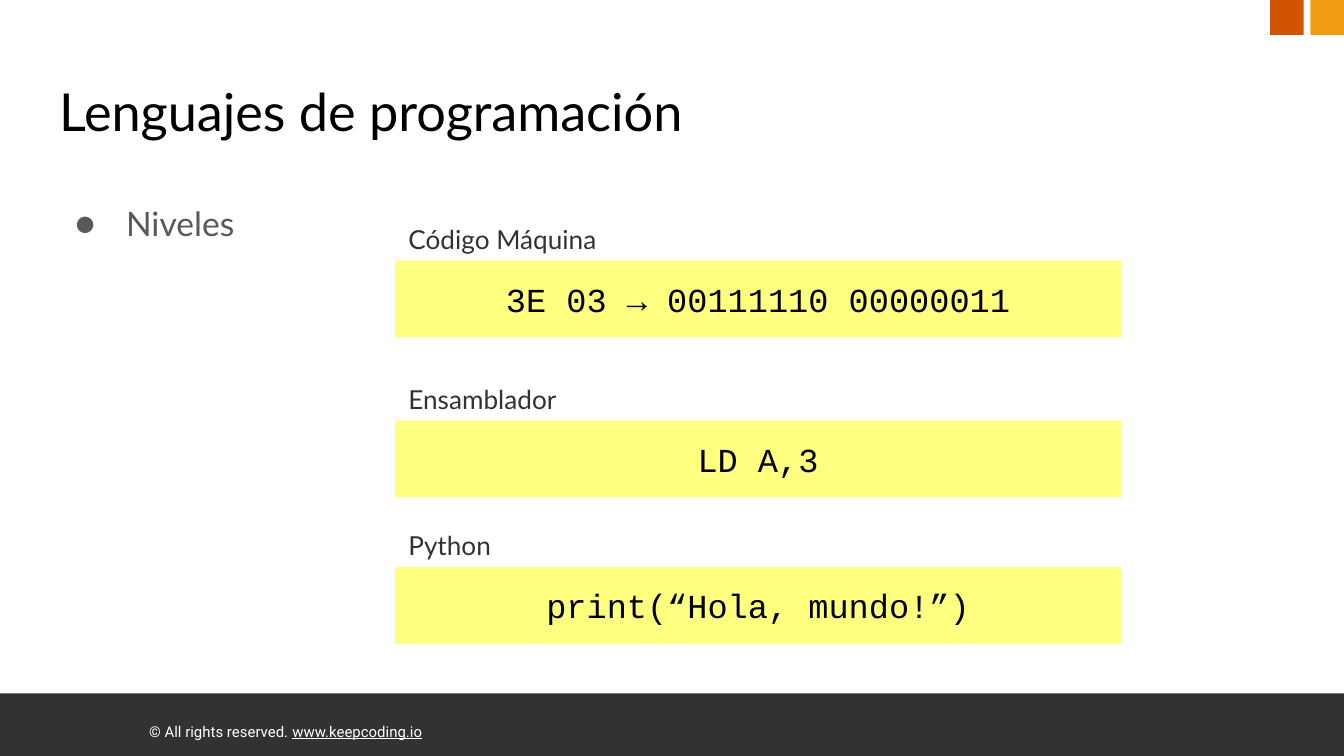
from pptx import Presentation
from pptx.dml.color import RGBColor
from pptx.enum.shapes import MSO_SHAPE
from pptx.enum.text import MSO_ANCHOR, PP_ALIGN
from pptx.oxml.ns import qn
from pptx.util import Inches, Pt
from lxml.etree import SubElement

COLORS = {
    "ink": "000000",
    "dark": "323232",
    "gray": "595959",
    "white": "FFFFFF",
    "rust": "D35400",
    "amber": "F39C12",
    "yellow": "FFFF00",
}


class SlideBuilder:
    heading_font = "Lato"
    code_font = "Courier New"
    footer_font = "Roboto"

    def __init__(self, page):
        self.page = page

    def color(self, name):
        return RGBColor.from_string(COLORS[name])

    def frame(self, shape, anchor=MSO_ANCHOR.TOP, inset=0.1):
        frame = shape.text_frame
        frame.word_wrap = True
        frame.vertical_anchor = anchor
        frame.margin_left = frame.margin_right = Inches(inset)
        frame.margin_top = frame.margin_bottom = Inches(inset)
        return frame.paragraphs[0]

    def span(self, para, text, size, font, color, underline=None):
        span = para.add_run()
        span.text = text
        span.font.size = Pt(size)
        span.font.name = font
        span.font.color.rgb = self.color(color)
        span.font.underline = underline

    def text_box(self, shapes, left, top, width, height, **options):
        box = shapes.add_textbox(Inches(left), Inches(top), Inches(width), Inches(height))
        return self.frame(box, **options)

    def rectangle(self, shapes, left, top, width, height, color, opacity=100):
        box = shapes.add_shape(
            MSO_SHAPE.RECTANGLE, Inches(left), Inches(top), Inches(width), Inches(height)
        )
        box.shadow.inherit = False
        box.line.fill.background()
        box.fill.solid()
        box.fill.fore_color.rgb = self.color(color)
        if opacity < 100:
            fill = box.fill._xPr.find(qn("a:solidFill"))
            SubElement(fill[0], qn("a:alpha"), val=str(opacity * 1000))
        return box

    def title(self, text):
        title = self.page.shapes.title
        title.left, title.top = Inches(0.34), Inches(0.49)
        title.width, title.height = Inches(9.32), Inches(0.63)
        para = self.frame(title)
        para.alignment = PP_ALIGN.LEFT
        self.span(para, text, 28, self.heading_font, "ink")

    def bullet(self, text):
        para = self.text_box(self.page.shapes, 0.34, 1.26, 3.17, 3.74)
        properties = para._p.get_or_add_pPr()
        properties.set("marL", str(Inches(0.5)))
        properties.set("indent", str(Inches(-0.38)))
        bullet_color = SubElement(properties, qn("a:buClr"))
        SubElement(bullet_color, qn("a:srgbClr"), val=COLORS["gray"])
        SubElement(properties, qn("a:buFont"), typeface=self.heading_font)
        SubElement(properties, qn("a:buChar"), char="●")
        para.line_spacing = 1.5
        self.span(para, text, 18, self.heading_font, "gray")

    def code_level(self, label, code, top):
        shapes = self.page.shapes.add_group_shape().shapes
        bar = self.rectangle(shapes, 2.94, top, 5.4, 0.57, "yellow", opacity=50)
        para = self.frame(bar, anchor=MSO_ANCHOR.MIDDLE)
        para.alignment = PP_ALIGN.CENTER
        self.span(para, code, 18, self.code_font, "ink")
        para = self.text_box(shapes, 2.94, top - 0.38, 1.67, 0.39)
        self.span(para, label, 14, self.heading_font, "dark")

    def footer(self, notice, address):
        shapes = self.page.shapes
        self.rectangle(shapes, 0, 5.16, 10, 0.48, "dark")
        para = self.text_box(
            shapes, 1.05, 5.3, 7.97, 0.28, anchor=MSO_ANCHOR.MIDDLE, inset=0.06
        )
        self.span(para, notice, 8, self.footer_font, "white")
        self.span(para, address, 8, self.footer_font, "white", underline=True)

    def corner_marks(self):
        for left, color in ((9.45, "rust"), (9.75, "amber")):
            self.rectangle(self.page.shapes, left, 0, 0.25, 0.26, color)


def main():
    deck = Presentation()
    deck.slide_width = Inches(10)
    deck.slide_height = Inches(10 * 9 / 16)
    builder = SlideBuilder(deck.slides.add_slide(deck.slide_layouts[5]))
    builder.footer("© All rights reserved. ", "www.keepcoding.io")
    builder.corner_marks()
    builder.title("Lenguajes de programación")
    builder.bullet("Niveles")
    levels = (
        ("Código Máquina", "3E 03 → 00111110 00000011", 1.94),
        ("Ensamblador", "LD A,3", 3.13),
        ("Python", "print(“Hola, mundo!”)", 4.22),
    )
    for label, code, top in levels:
        builder.code_level(label, code, top)
    deck.save("out.pptx")


if __name__ == "__main__":
    main()
